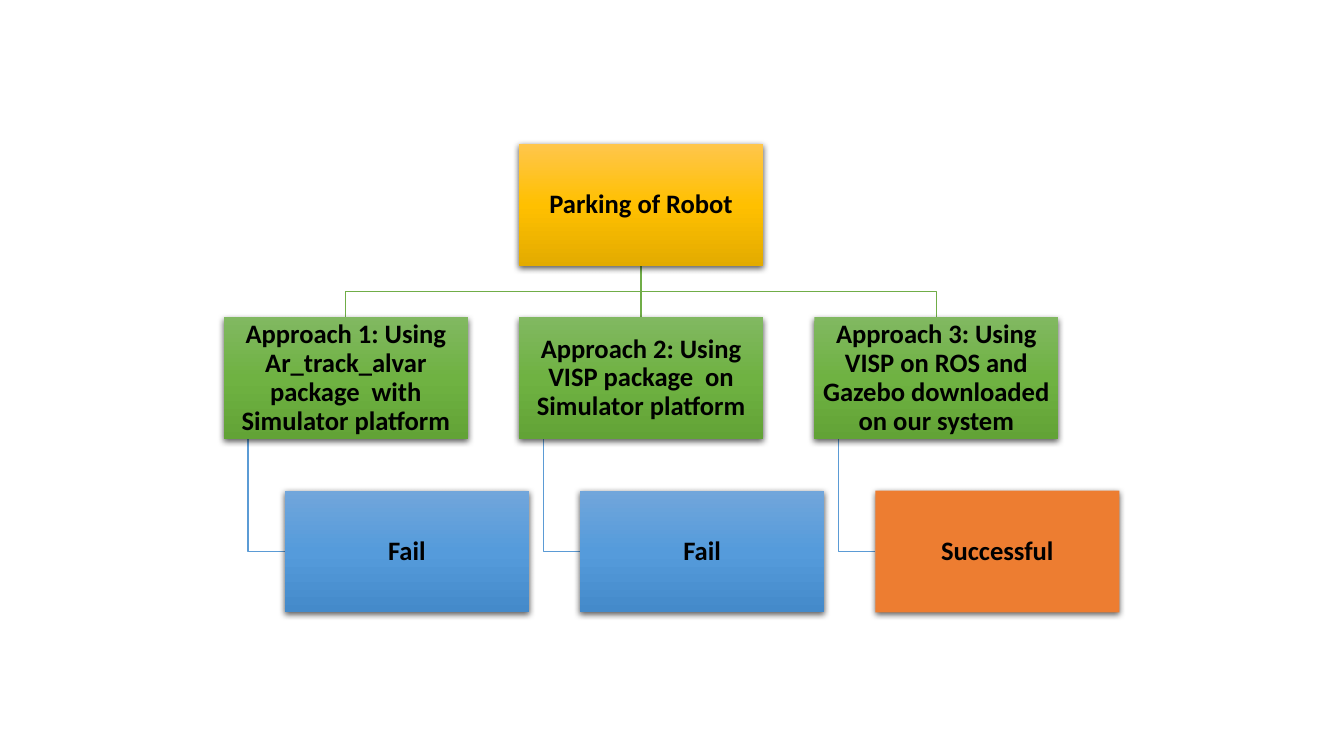
from lxml.etree import SubElement
from pptx import Presentation
from pptx.dml.color import RGBColor
from pptx.enum.shapes import MSO_CONNECTOR, MSO_SHAPE
from pptx.enum.text import MSO_ANCHOR, PP_ALIGN
from pptx.oxml.ns import qn
from pptx.util import Inches, Pt

BLACK = RGBColor(0x00, 0x00, 0x00)
ORANGE = RGBColor(0xED, 0x7D, 0x31)
GREEN_LINE = RGBColor(0x70, 0xAD, 0x47)
BLUE_LINE = RGBColor(0x5B, 0x9B, 0xD5)
# Each gradient runs from top to bottom: start, middle, end
GOLD = RGBColor(0xFF, 0xC6, 0x4B), RGBColor(0xFF, 0xC0, 0x00), RGBColor(0xE3, 0xAB, 0x00)
GREEN = RGBColor(0x81, 0xB8, 0x61), RGBColor(0x6F, 0xB2, 0x42), RGBColor(0x62, 0xA3, 0x36)
BLUE = RGBColor(0x71, 0xA6, 0xDB), RGBColor(0x55, 0x9B, 0xDB), RGBColor(0x44, 0x8A, 0xCA)

# Grid: three columns and three rows of boxes, all measured from the box width
BOX_W = Inches(2.42)
BOX_H = BOX_W // 2
GAP = int(BOX_W * 0.21)
LEFT, TOP = Inches(2.22), Inches(1.43)
COLUMNS = [LEFT + i * (BOX_W + GAP) for i in range(3)]
ROWS = [TOP + i * (BOX_H + GAP) for i in range(3)]
RESULT_INDENT = BOX_W // 4
STUB_INDENT = BOX_W // 10

APPROACHES = [
    ("Approach 1: Using Ar_track_alvar package  with Simulator platform", "Fail", BLUE),
    ("Approach 2: Using VISP package  on Simulator platform", "Fail", BLUE),
    ("Approach 3: Using VISP on ROS and Gazebo downloaded on our system",
     "Successful", (ORANGE,)),
]

presentation = Presentation()
presentation.slide_width, presentation.slide_height = Inches(13.33), Inches(7.5)
slide = presentation.slides.add_slide(presentation.slide_layouts[6])
shapes = slide.shapes


def add_box(left, top, text, colors):
    """Add a shadowed box with bold centred text and a plain or gradient fill."""
    box = shapes.add_shape(MSO_SHAPE.RECTANGLE, left, top, BOX_W, BOX_H)
    box.line.fill.background()
    if len(colors) == 1:
        box.fill.solid()
        box.fill.fore_color.rgb = colors[0]
    else:
        box.fill.gradient()
        gradient = box._element.spPr.find(qn("a:gradFill"))
        gradient.clear()
        gradient.set("rotWithShape", "1")
        stops = SubElement(gradient, qn("a:gsLst"))
        for position, color in zip((0, 50000, 100000), colors):
            stop = SubElement(stops, qn("a:gs"), pos=str(position))
            SubElement(stop, qn("a:srgbClr"), val=str(color))
        SubElement(gradient, qn("a:lin"), ang="5400000", scaled="0")

    box.shadow.inherit = False
    effects = box._element.spPr.find(qn("a:effectLst"))
    shadow = SubElement(effects, qn("a:outerShdw"), blurRad=str(Pt(4.5)),
                        dist=str(Pt(1.5)), dir="5400000", algn="ctr", rotWithShape="0")
    shade = SubElement(shadow, qn("a:srgbClr"), val=str(BLACK))
    SubElement(shade, qn("a:alpha"), val="63000")

    frame = box.text_frame
    frame.word_wrap = True
    frame.vertical_anchor = MSO_ANCHOR.MIDDLE
    frame.margin_left = frame.margin_right = Inches(0.01)
    frame.margin_top = frame.margin_bottom = Inches(0.01)
    paragraph = frame.paragraphs[0]
    paragraph.text = text
    paragraph.alignment = PP_ALIGN.CENTER
    paragraph.line_spacing = 0.9
    paragraph.font.name = "Calibri"
    paragraph.font.size = Pt(19)
    paragraph.font.bold = True
    paragraph.font.color.rgb = BLACK


def add_branch(points, color):
    """Add a thin line through the points, bent wherever there are more than two."""
    if len(points) == 2:
        branch = shapes.add_connector(MSO_CONNECTOR.STRAIGHT, *points[0], *points[1])
        SubElement(branch._element.spPr, qn("a:effectLst"))
    else:
        builder = shapes.build_freeform(*points[0])
        builder.add_line_segments(points[1:], close=False)
        branch = builder.convert_to_shape()
        branch.fill.background()
        branch.shadow.inherit = False
    branch.line.color.rgb = color
    branch.line.width = Pt(1)


# Branches lie behind the boxes
root_x, root_bottom = COLUMNS[1] + BOX_W // 2, ROWS[0] + BOX_H
fork_y = root_bottom + GAP // 2
result_y = ROWS[2] + BOX_H // 2
for column in reversed(COLUMNS):
    stub_x, center_x = column + STUB_INDENT, column + BOX_W // 2
    add_branch([(stub_x, ROWS[1] + BOX_H), (stub_x, result_y),
                (column + RESULT_INDENT, result_y)], BLUE_LINE)
    fork = [] if center_x == root_x else [(root_x, fork_y), (center_x, fork_y)]
    add_branch([(root_x, root_bottom), *fork, (center_x, ROWS[1])], GREEN_LINE)

add_box(COLUMNS[1], ROWS[0], "Parking of Robot", GOLD)
for column, (approach, result, result_colors) in zip(COLUMNS, APPROACHES):
    add_box(column, ROWS[1], approach, GREEN)
    add_box(column + RESULT_INDENT, ROWS[2], result, result_colors)

presentation.save("out.pptx")
